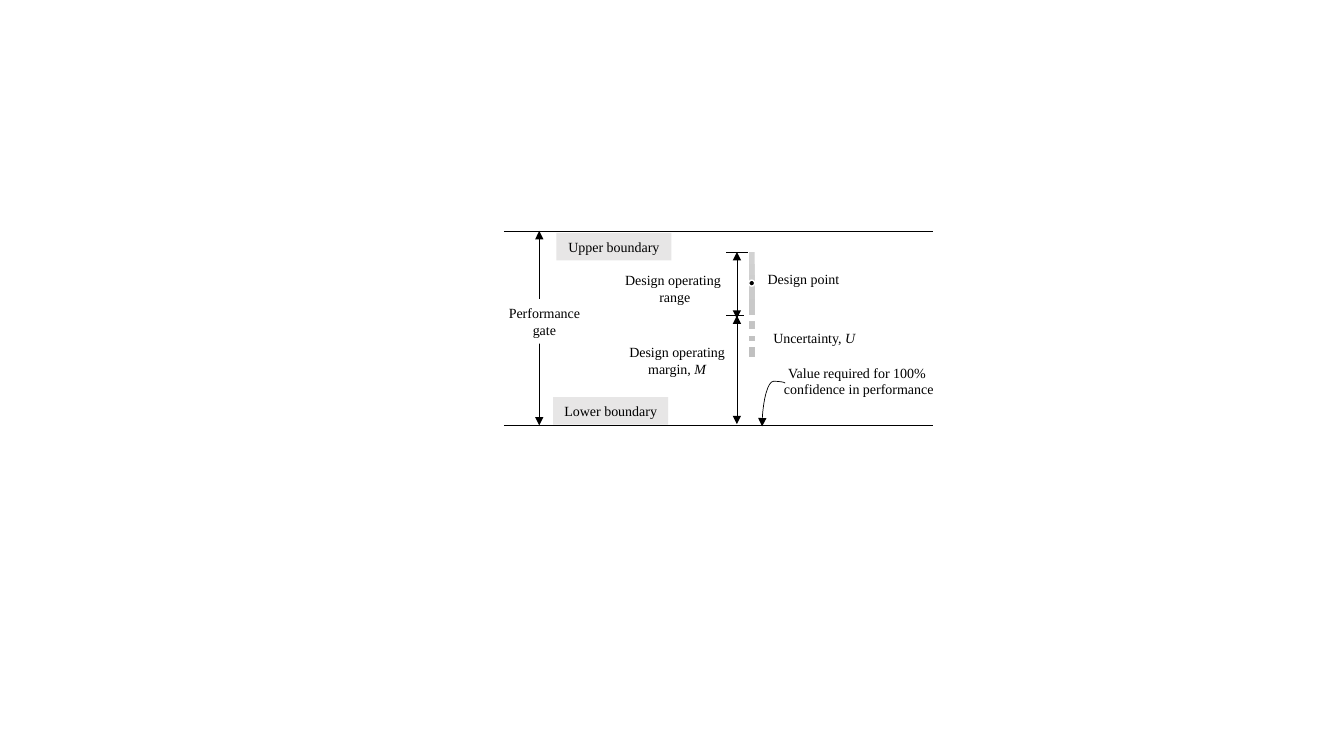
from lxml import etree
from pptx import Presentation, util as u
from pptx.dml.color import RGBColor
from pptx.enum import shapes as s, text as t
from pptx.oxml.ns import qn

COLORS = {"ink": "000000", "paper": "FFFFFF", "label": "E7E6E6",
          "bar_top": "D2D2D2", "bar_bottom": "C0C0C0"}
FONT, SIZE = "Times New Roman", 10

# Lengths in cm
SLIDE = (33.87, 19.05)
LEFT, RIGHT = 12.7, 23.52
UPPER, LOWER = 5.82, 10.72
RANGE_TOP, RANGE_BOTTOM = 6.35, 7.95
GATE_X, MARGIN_X = 13.59, 18.57
TICK_LEFT, TICK_RIGHT = 18.29, 18.85
BAR = (18.87, RANGE_TOP, 0.15, 2.64)
DESIGN_POINT = (18.87, 7.06, 0.15, 0.15)
GAPS = [(18.77, 7.95), (18.8, 8.31), (18.77, 8.61)]
GAP_SIZE = (0.89, 0.13)
CALLOUT = (18.95, 9.91, 1.09, 0.58)
LINE_HEIGHT = {1: 0.69, 2: 1.12}

# Lines of (text, italic) runs, left, top, width, fill
BOUNDARY_LABELS = [
    ([[("Upper boundary", False)]], 14.02, 5.87, 2.9, "label"),
    ([[("Lower boundary", False)]], 13.94, 10.01, 2.9, "label"),
]
GATE_LABEL = ([[("Performance", False)], [("gate", False)]], 12.55, 7.54, 2.34, "paper")
NOTES = [
    ([[("Design operating ", False)], [("range", False)]], 15.24, 6.71, 3.53, None),
    ([[("Design operating", False)], [("margin, ", False), ("M", True)]],
     15.49, 8.53, 3.15, None),
    ([[("Design point", False)]], 19.08, 6.68, 2.34, None),
    ([[("Value required for 100% ", False)], [("confidence in performance", False)]],
     19.48, 9.04, 4.32, None),
    ([[("Uncertainty, ", False), ("U", True)]], 19.2, 8.18, 2.64, None),
]


def rgb(name):
    return RGBColor.from_string(COLORS[name])


def add_line(slide, start, end, arrows=(), kind=s.MSO_CONNECTOR.STRAIGHT):
    """Draw a thin black line; arrows holds 'headEnd' and/or 'tailEnd'."""
    line = slide.shapes.add_connector(kind, *(u.Cm(v) for v in (*start, *end)))
    line.line.width = u.Pt(0.5)
    line.line.color.rgb = rgb("ink")
    ln = line.line._get_or_add_ln()
    for end_name in arrows:
        etree.SubElement(ln, qn("a:" + end_name), type="triangle")
    etree.SubElement(line._element.spPr, qn("a:effectLst"))
    return line


def add_block(slide, kind, box, fill=None, outline=None):
    block = slide.shapes.add_shape(kind, *(u.Cm(v) for v in box))
    block.shadow.inherit = False
    if fill:
        block.fill.solid()
        block.fill.fore_color.rgb = rgb(fill)
    if outline:
        block.line.color.rgb = rgb(outline)
        block.line.width = u.Pt(1)
    else:
        block.line.fill.background()
    return block


def add_label(slide, lines, left, top, width, fill):
    box = (left, top, width, LINE_HEIGHT[len(lines)])
    if fill:
        label = add_block(slide, s.MSO_SHAPE.RECTANGLE, box, fill)
    else:
        label = slide.shapes.add_textbox(*(u.Cm(v) for v in box))
    frame = label.text_frame
    frame.word_wrap = False
    frame.vertical_anchor = t.MSO_ANCHOR.MIDDLE
    frame.text = "\n".join("" for _ in lines)
    for paragraph, runs in zip(frame.paragraphs, lines):
        paragraph.alignment = t.PP_ALIGN.CENTER
        for words, italic in runs:
            run = paragraph.add_run()
            run.text = words
            run.font.name, run.font.size = FONT, u.Pt(SIZE)
            run.font.color.rgb = rgb("ink")
            if italic:
                run.font.italic = True


def add_callout(slide):
    """Curved arrow turned a quarter, from the value note to the lower boundary."""
    left, top, width, height = CALLOUT
    curve = add_line(slide, (left, top), (left + width, top + height),
                     ["tailEnd"], s.MSO_CONNECTOR.CURVE)
    properties = curve._element.spPr
    properties.find(qn("a:xfrm")).set("rot", "5400000")
    adjustments = properties.find(qn("a:prstGeom")).find(qn("a:avLst"))
    etree.SubElement(adjustments, qn("a:gd"), name="adj1", fmla="val -4400")


def main():
    deck = Presentation()
    deck.slide_width, deck.slide_height = (u.Cm(v) for v in SLIDE)
    slide = deck.slides.add_slide(deck.slide_layouts[6])
    both = ["headEnd", "tailEnd"]

    for y in (UPPER, LOWER):
        add_line(slide, (LEFT, y), (RIGHT, y))
    for label in BOUNDARY_LABELS:
        add_label(slide, *label)

    bar = add_block(slide, s.MSO_SHAPE.RECTANGLE, BAR)
    bar.fill.gradient()
    bar.fill.gradient_angle = 270
    for stop, name in zip(bar.fill.gradient_stops, ("bar_top", "bar_bottom")):
        stop.color.rgb = rgb(name)

    for x, top, bottom in [(MARGIN_X, RANGE_TOP, 8.03), (GATE_X, UPPER, LOWER),
                           (MARGIN_X, RANGE_BOTTOM, 10.69)]:
        add_line(slide, (x, top), (x, bottom), both)
    add_label(slide, *GATE_LABEL)
    for y in (RANGE_TOP, RANGE_BOTTOM):
        add_line(slide, (TICK_RIGHT, y), (TICK_LEFT, y))

    add_callout(slide)
    for gap in GAPS:
        add_block(slide, s.MSO_SHAPE.RECTANGLE, gap + GAP_SIZE, "paper", "paper")
    for note in NOTES:
        add_label(slide, *note)
    add_block(slide, s.MSO_SHAPE.OVAL, DESIGN_POINT, "ink", "paper")

    deck.save("out.pptx")


if __name__ == "__main__":
    main()
